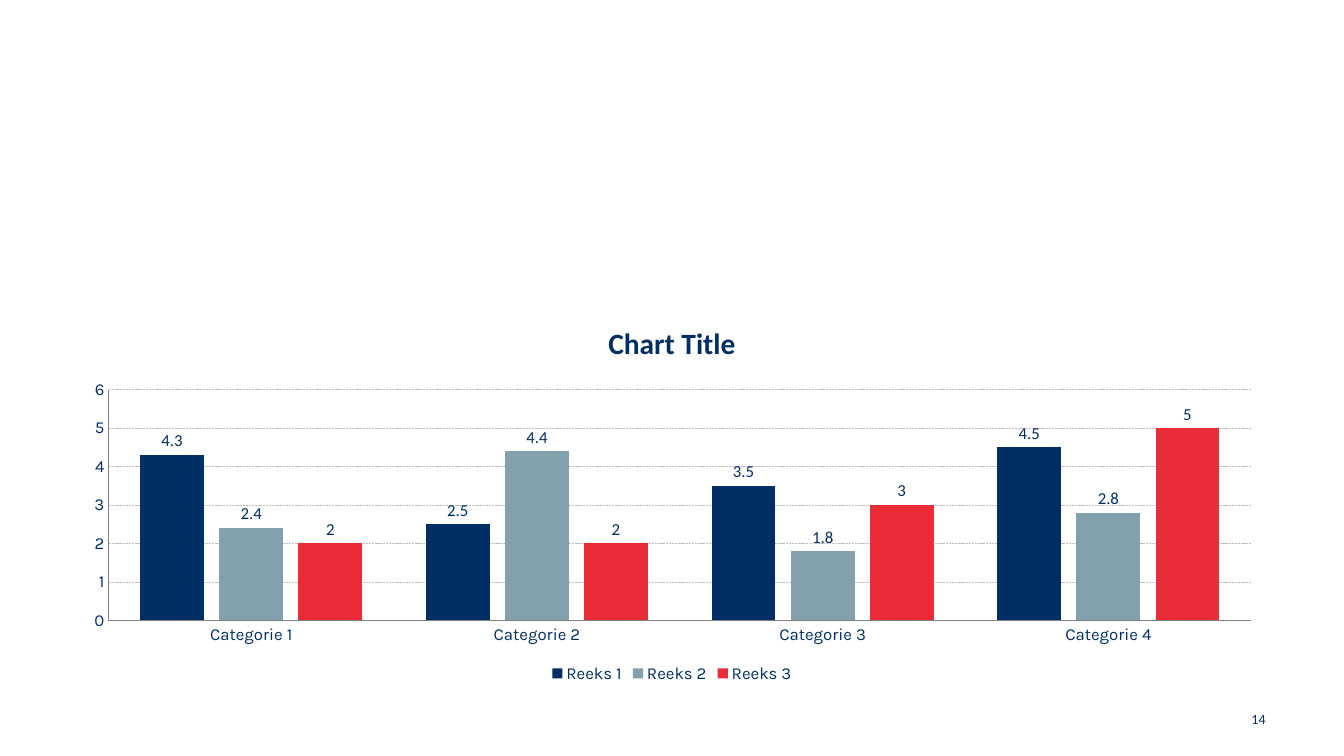
from lxml import etree
from pptx import Presentation
from pptx.chart.data import CategoryChartData
from pptx.dml.color import RGBColor
from pptx.enum.chart import XL_CHART_TYPE, XL_LABEL_POSITION, XL_LEGEND_POSITION, XL_TICK_MARK
from pptx.enum.dml import MSO_LINE
from pptx.enum.text import MSO_ANCHOR, PP_ALIGN
from pptx.oxml.ns import qn
from pptx.util import Inches, Pt

COLORS = {
    "navy": "002E65",
    "steel": "82A1AD",
    "red": "EA2C38",
    "axis": "808080",
    "grid": "BFBFBF",
}
HEADING_FONT = "Calibri"
BODY_FONT = "Karla"

CATEGORIES = ["Categorie 1", "Categorie 2", "Categorie 3", "Categorie 4"]
SERIES = [
    ("Reeks 1", (4.3, 2.5, 3.5, 4.5), "navy"),
    ("Reeks 2", (2.4, 4.4, 1.8, 2.8), "steel"),
    ("Reeks 3", (2, 2, 3, 5), "red"),
]


def rgb(name):
    return RGBColor.from_string(COLORS[name])


def style_font(font, size, name, bold=False):
    font.size = Pt(size)
    font.name = name
    font.bold = bold
    font.color.rgb = rgb("navy")


def style_line(line, color):
    line.color.rgb = rgb(color)
    line.width = Pt(0.5)


def style_axis(axis):
    axis.major_tick_mark = axis.minor_tick_mark = XL_TICK_MARK.NONE
    style_font(axis.tick_labels.font, 12, BODY_FONT)
    style_line(axis.format.line, "axis")


def place_plot_area(chart, **fractions):
    """Fix the inner plot area as fractions of the chart frame."""
    plot_area = chart._chartSpace.chart.plotArea
    for old_layout in plot_area.findall(qn("c:layout")):
        plot_area.remove(old_layout)
    layout = etree.Element(qn("c:layout"))
    plot_area.insert(0, layout)
    manual = etree.SubElement(layout, qn("c:manualLayout"))
    settings = {"layoutTarget": "inner", "xMode": "edge", "yMode": "edge", **fractions}
    for tag, value in settings.items():
        etree.SubElement(manual, qn(f"c:{tag}")).set("val", str(value))


def add_chart_title(chart, text):
    chart.has_title = True
    frame = chart.chart_title.text_frame
    frame.text = text
    style_font(frame.paragraphs[0].runs[0].font, 21, HEADING_FONT, bold=True)
    chart.chart_title.include_in_layout = False


def add_legend(chart):
    chart.has_legend = True
    chart.legend.position = XL_LEGEND_POSITION.BOTTOM
    chart.legend.include_in_layout = False
    style_font(chart.legend.font, 12, BODY_FONT)


def style_series(series, color):
    series.format.fill.solid()
    series.format.fill.fore_color.rgb = rgb(color)
    series.invert_if_negative = False
    labels = series.data_labels
    labels.show_value = True
    labels.position = XL_LABEL_POSITION.OUTSIDE_END
    style_font(labels.font, 12, HEADING_FONT)


def add_column_chart(page):
    data = CategoryChartData()
    data.categories = CATEGORIES
    for name, values, _ in SERIES:
        data.add_series(name, values)
    chart = page.shapes.add_chart(
        XL_CHART_TYPE.COLUMN_CLUSTERED,
        Inches(0.68), Inches(3.02), Inches(11.97), Inches(3.8), data,
    ).chart
    style_font(chart.font, 10, BODY_FONT)
    add_chart_title(chart, "Chart Title")
    add_legend(chart)
    place_plot_area(chart, x=0.033, y=0.223, w=0.947, h=0.602)

    style_axis(chart.category_axis)
    style_axis(chart.value_axis)
    chart.value_axis.minimum_scale = 0
    chart.value_axis.maximum_scale = 6
    chart.value_axis.major_unit = 1
    grid_line = chart.value_axis.major_gridlines.format.line
    style_line(grid_line, "grid")
    grid_line.dash_style = MSO_LINE.SQUARE_DOT

    plot = chart.plots[0]
    plot.vary_by_categories = False
    plot.gap_width = 100
    plot.overlap = -24
    for series, (_, _, color) in zip(plot.series, SERIES):
        style_series(series, color)


def add_page_number(page, number):
    box = page.shapes.add_textbox(Inches(9.76), Inches(6.93), Inches(2.89), Inches(0.4))
    frame = box.text_frame
    frame.word_wrap = True
    frame.vertical_anchor = MSO_ANCHOR.MIDDLE
    para = frame.paragraphs[0]
    para.text = number
    para.alignment = PP_ALIGN.RIGHT
    style_font(para.runs[0].font, 10, HEADING_FONT)


def main():
    deck = Presentation()
    deck.slide_width = Inches(13.33)
    deck.slide_height = Inches(7.5)
    blank_layout = deck.slide_layouts[6]
    page = deck.slides.add_slide(blank_layout)
    add_page_number(page, "14")
    add_column_chart(page)
    deck.save("out.pptx")


if __name__ == "__main__":
    main()
